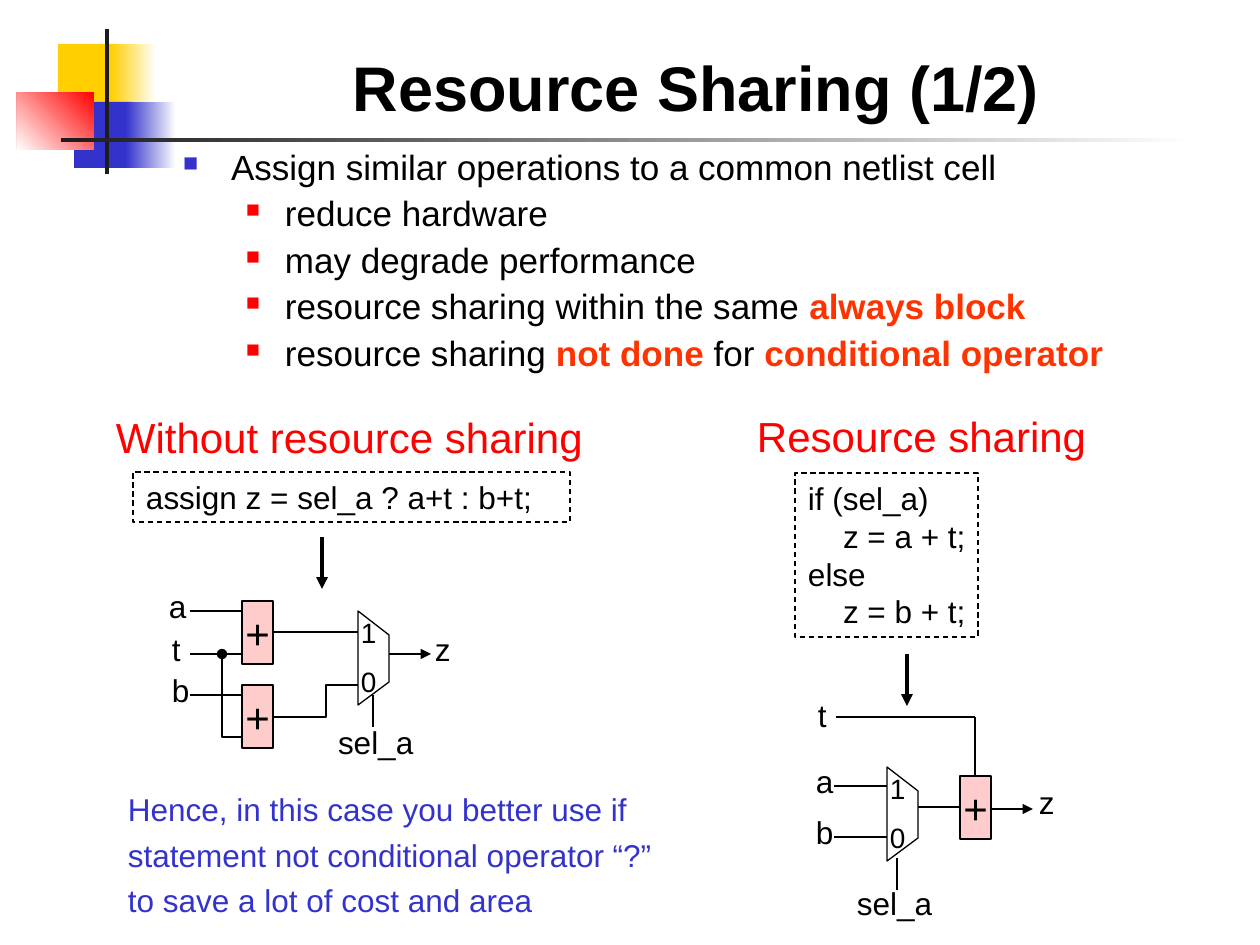
from lxml import etree
from pptx import Presentation
from pptx.dml.color import RGBColor
from pptx.enum.dml import MSO_LINE
from pptx.enum.shapes import MSO_CONNECTOR, MSO_SHAPE
from pptx.enum.text import MSO_ANCHOR, PP_ALIGN
from pptx.oxml.ns import qn
from pptx.util import Emu, Pt

RECTANGLE = MSO_SHAPE.RECTANGLE
STRAIGHT = MSO_CONNECTOR.STRAIGHT
DASH = MSO_LINE.DASH
TOP, MIDDLE = MSO_ANCHOR.TOP, MSO_ANCHOR.MIDDLE
LEFT, CENTER = PP_ALIGN.LEFT, PP_ALIGN.CENTER

EMU_PER_PX = 914400 / 126
INSET_X, INSET_Y = 13, 6

BLACK = RGBColor(0x00, 0x00, 0x00)
WHITE = RGBColor(0xFF, 0xFF, 0xFF)
CHARCOAL = RGBColor(0x1C, 0x1C, 0x1C)
YELLOW = RGBColor(0xFF, 0xCF, 0x01)
BLUE = RGBColor(0x33, 0x33, 0xCC)
RED = RGBColor(0xFF, 0x00, 0x00)
ORANGE = RGBColor(0xFF, 0x33, 0x00)
PINK = RGBColor(0xFF, 0xCC, 0xCC)


def px(*lengths):
    """Turn px lengths into a list of EMU."""
    return [Emu(round(length * EMU_PER_PX)) for length in lengths]


def set_format(target, values):
    """Set each attribute in a dict of format values."""
    for name, value in values.items():
        setattr(target, name, value)


def write_text(shape, lines, size, color=BLACK, bold=False, spacing=1.0, centered=False):
    """Fill a shape with lines, each a list of (text, font overrides) runs."""
    inset_x, inset_y = px(0, 0) if centered else px(INSET_X, INSET_Y)
    frame = shape.text_frame
    set_format(frame, {"word_wrap": True, "margin_left": inset_x, "margin_right": 0,
                       "margin_top": inset_y, "margin_bottom": inset_y,
                       "vertical_anchor": MIDDLE if centered else TOP})
    for index, runs in enumerate(lines):
        paragraph = frame.add_paragraph() if index else frame.paragraphs[0]
        set_format(paragraph, {"alignment": CENTER if centered else LEFT,
                               "line_spacing": spacing})
        for text, overrides in runs:
            run = paragraph.add_run()
            run.text = text
            run.font.color.rgb = overrides.get("color", color)
            set_format(run.font, {"name": "Arial", "size": Pt(size),
                                  "bold": overrides.get("bold", bold)})
    return frame


def add_text(slide, box, lines, size, **options):
    """Add a text box of plain strings or of run lists."""
    shape = slide.shapes.add_textbox(*px(*box))
    lines = [[(line, {})] if isinstance(line, str) else line for line in lines]
    return write_text(shape, lines, size, **options)


def add_label(slide, left, top, text, size=18):
    """Add a one-line signal name."""
    add_text(slide, (left, top, 24 + 16 * len(text), 50), [text], size)


def add_rectangle(slide, box, fill=None, fade_angle=None, outlined=False):
    """Add a rectangle with a plain, fading or empty fill."""
    shape = slide.shapes.add_shape(RECTANGLE, *px(*box))
    shape.shadow.inherit = False
    if fill is None:
        shape.fill.background()
    elif fade_angle is None:
        shape.fill.solid()
        shape.fill.fore_color.rgb = fill
    else:
        shape.fill.gradient()
        shape.fill.gradient_angle = fade_angle
        for stop, color in zip(shape.fill.gradient_stops, (fill, WHITE)):
            stop.color.rgb = color
    if outlined:
        style_line(shape)
    else:
        shape.line.fill.background()
    return shape


def style_line(shape, width=0.75, **ends):
    """Draw a black line with optional headEnd and tailEnd markers."""
    shape.line.color.rgb = BLACK
    shape.line.width = Pt(width)
    line = shape._element.spPr.find(qn("a:ln"))
    for end, marker in ends.items():
        etree.SubElement(line, qn(f"a:{end}"), type=marker)


def add_wire(slide, start, end, width=0.75, **ends):
    """Connect two points with a straight line."""
    wire = slide.shapes.add_connector(STRAIGHT, *px(*start, *end))
    style_line(wire, width, **ends)
    etree.SubElement(wire._element.spPr, qn("a:effectLst"))


def add_outline(slide, points, close=False, **ends):
    """Draw an unfilled outline through points."""
    builder = slide.shapes.build_freeform(*points[0], scale=EMU_PER_PX)
    builder.add_line_segments(points[1:], close=close)
    shape = builder.convert_to_shape()
    shape.shadow.inherit = False
    shape.fill.background()
    style_line(shape, **ends)


def add_adder(slide, left, top):
    """Add an adder block."""
    adder = add_rectangle(slide, (left, top, 31, 63), PINK, outlined=True)
    write_text(adder, [[("+", {})]], 24, centered=True)


def add_multiplexer(slide, left, top, select, label):
    """Add a two-way multiplexer with its select wire and label."""
    corners = [(0, 94), (0, 0), (31, 24), (31, 71)]
    add_outline(slide, [(left + x, top + y) for x, y in corners], close=True)
    add_label(slide, left - 10, top - 1, "1", 16)
    add_label(slide, left - 10, top + 48, "0", 16)
    x, y = left + select[0], top + select[1]
    add_wire(slide, (x, y), (x, y + 32))
    add_label(slide, left + label[0], top + label[1], "sel_a")


def add_decoration(slide, left, top):
    """Add the coloured squares and crossing bars."""
    for x, y, width, height, color, angle in [
        (41, 15, 60, 66, YELLOW, None), (94, 15, 45, 66, YELLOW, 0),
        (57, 73, 58, 66, BLUE, None), (109, 73, 50, 66, BLUE, 0),
        (0, 63, 77, 58, RED, 225), (88, 0, 4, 145, CHARCOAL, None),
        (44, 109, 1134, 4, CHARCOAL, 0),
    ]:
        add_rectangle(slide, (left + x, top + y, width, height), color, angle)


def add_bullets(slide, box):
    """Add the bullet list on two levels."""
    strong = {"color": ORANGE, "bold": True}
    lines = [
        "Assign similar operations to a common netlist cell",
        "reduce hardware",
        "may degrade performance",
        [("resource sharing within the same ", {}), ("always block", strong)],
        [("resource sharing ", {}), ("not done", strong), (" for ", {}),
         ("conditional operator", strong)],
    ]
    frame = add_text(slide, box, lines, 20, spacing=0.9)
    for index, paragraph in enumerate(frame.paragraphs):
        level = min(index, 1)
        margin, indent, color, percent = [(48, -48, BLUE, 60), (102, -39, RED, 55)][level]
        set_format(paragraph, {"level": level, "space_before": Pt(5)})
        properties = paragraph._p.get_or_add_pPr()
        for name, length in zip(("marL", "indent"), px(margin, indent)):
            properties.set(name, str(length))
        bullet_color = etree.SubElement(properties, qn("a:buClr"))
        etree.SubElement(bullet_color, qn("a:srgbClr"), val=str(color))
        etree.SubElement(properties, qn("a:buSzPct"), val=str(percent * 1000))
        etree.SubElement(properties, qn("a:buChar"), char="■")


def add_code(slide, box, lines):
    """Add a dashed code box, indenting each (text, indent) line."""
    shape = add_rectangle(slide, box, outlined=True)
    shape.line.dash_style = DASH
    frame = write_text(shape, [[(text, {})] for text, _ in lines], 18)
    for paragraph, (_, indent) in zip(frame.paragraphs, lines):
        paragraph._p.get_or_add_pPr().set("marL", str(px(indent)[0]))


def add_unshared_circuit(slide, left, top):
    """Add the circuit with two adders ahead of the multiplexer."""
    for text, x, y in [("a", 6, 31), ("t", 9, 74), ("b", 9, 115)]:
        add_wire(slide, (left + 40, top + y), (left + 92, top + y))
        add_label(slide, left + x, top + y - 30, text)
    for y in (21, 105):
        add_adder(slide, left + 92, top + y)
    tap = [(72, 74), (72, 157), (92, 157)]
    add_outline(slide, [(left + x, top + y) for x, y in tap], headEnd="oval")
    link = [(123, 137), (176, 137), (176, 105), (208, 105)]
    add_outline(slide, [(left + x, top + y) for x, y in link])
    add_wire(slide, (left + 123, top + 52), (left + 208, top + 52))
    add_multiplexer(slide, left + 208, top + 31, (15, 84), (-33, 106))
    add_wire(slide, (left + 239, top + 74), (left + 281, top + 74), tailEnd="triangle")
    add_label(slide, left + 272, top + 44, "z")


def add_shared_circuit(slide, left, top):
    """Add the circuit with one adder behind the multiplexer."""
    for text, y in [("a", 96), ("b", 147)]:
        add_wire(slide, (left + 44, top + y), (left + 97, top + y))
        add_label(slide, left + 13, top + y - 30, text)
    add_multiplexer(slide, left + 97, top + 77, (10, 91), (-43, 111))
    add_adder(slide, left + 170, top + 86)
    add_label(slide, left + 15, top, "t")
    add_wire(slide, (left + 46, top + 27), (left + 185, top + 27))
    add_wire(slide, (left + 185, top + 27), (left + 185, top + 86))
    add_wire(slide, (left + 128, top + 117), (left + 170, top + 117))
    add_wire(slide, (left + 202, top + 119), (left + 243, top + 119), tailEnd="triangle")
    add_label(slide, left + 236, top + 87, "z")


def main():
    """Build and save the slide."""
    presentation = Presentation()
    presentation.slide_width, presentation.slide_height = px(1260, 945)
    slide = presentation.slides.add_slide(presentation.slide_layouts[6])
    add_decoration(slide, 17, 29)
    add_text(slide, (340, 43, 723, 164), ["Resource Sharing (1/2)"], 36, bold=True)
    add_bullets(slide, (170, 144, 1080, 378))
    add_text(slide, (103, 406, 491, 63), ["Without resource sharing"], 24, color=RED)
    add_text(slide, (744, 405, 354, 63), ["Resource sharing"], 24, color=RED)
    add_code(slide, (133, 472, 437, 50), [("assign z = sel_a ? a+t : b+t;", 0)])
    add_code(slide, (795, 473, 183, 164), [("if (sel_a)", 0), ("z = a + t;", 35),
                                           ("else", 0), ("z = b + t;", 35)])
    for x, y in [(322, 537), (907, 654)]:
        add_wire(slide, (x, y), (x, y + 52), 2.25, tailEnd="triangle")
    add_unshared_circuit(slide, 150, 580)
    add_shared_circuit(slide, 790, 690)
    add_text(slide, (115, 777, 548, 149),
             ["Hence, in this case you better use if",
              "statement not conditional operator “?”",
              "to save a lot of cost and area"], 18, color=BLUE, spacing=1.2)
    presentation.save("out.pptx")


if __name__ == "__main__":
    main()
